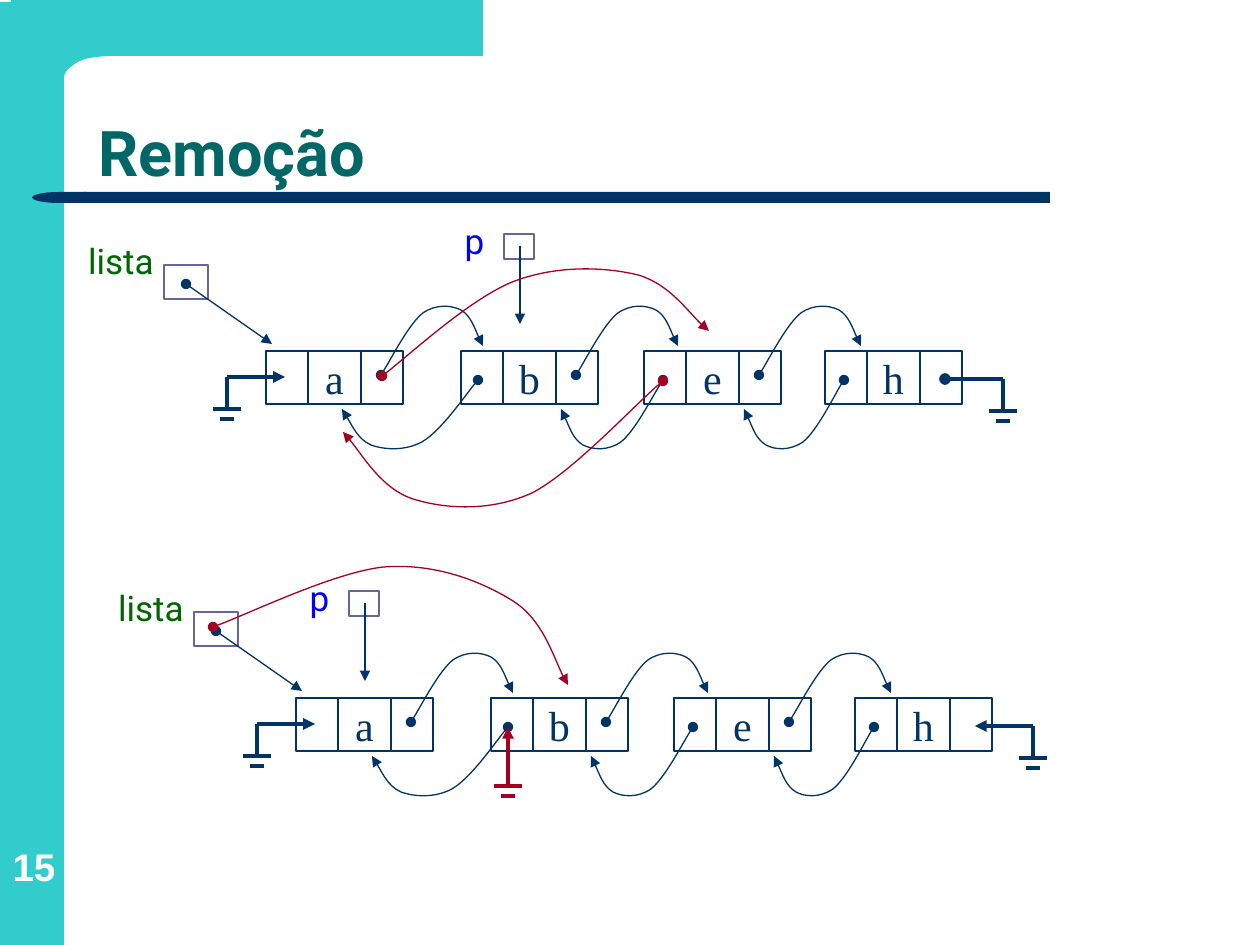
from lxml.etree import SubElement
from pptx import Presentation
from pptx.dml.color import RGBColor as RGB
from pptx.enum.shapes import MSO_CONNECTOR as LINK, MSO_SHAPE as FORM
from pptx.enum.text import MSO_ANCHOR as ANCHOR, PP_ALIGN as ALIGN
from pptx.oxml.ns import qn
from pptx.util import Inches, Pt

PX = Inches(1) / 126
TEAL = RGB(0x33, 0xCC, 0xCC)
NAVY = RGB(0x00, 0x33, 0x66)
GREEN = RGB(0x00, 0x66, 0x00)
PINE = RGB(0x00, 0x66, 0x66)
BLUE = RGB(0x00, 0x00, 0xFF)
SLATE = RGB(0x66, 0x66, 0x99)
RED = RGB(0xA5, 0x00, 0x21)
WHITE = RGB(0xFF, 0xFF, 0xFF)

LETTERS = "abeh"
NODES = [0, 195, 378, 559]
PARTS = [(0, 42), (42, 53), (95, 42)]
HIGH = 53
ARCH = [(0, 0), (7, 10), (28, 51), (42, 62), (55, 71), (70, 70),
        (80, 65), (90, 59), (98, 36), (102, 29)]
SKIP = [(116, 25), (138, 9), (206, -54), (249, -70), (292, -86),
        (339, -84), (372, -76), (403, -67), (428, -31), (443, -20)]
BACK = [(397, 30), (374, 48), (307, 121), (266, 142), (224, 161),
        (179, 158), (147, 148), (116, 138), (91, 95), (77, 81)]
FIRST = [(-83, -71), (-54, -81), (39, -126), (88, -131), (139, -135),
         (185, -117), (217, -97), (247, -78), (261, -30), (272, -13)]


def px(*vals):
    return [round(v * PX) for v in vals]


def write(frame, text, size=20, font="Roboto", color=NAVY, bold=False,
          align=ALIGN.CENTER, anchor=ANCHOR.MIDDLE, wrap=False, inset=None):
    frame.word_wrap = wrap
    frame.vertical_anchor = anchor
    if inset is not None:
        frame.margin_left = frame.margin_right = inset
        frame.margin_top = frame.margin_bottom = inset
    par = frame.paragraphs[0]
    par.alignment = align
    run = par.add_run()
    run.text = text
    run.font.size, run.font.name, run.font.bold = Pt(size), font, bold
    run.font.color.rgb = color
    return par


def label(slide, box, text, **style):
    return write(slide.shapes.add_textbox(*px(*box)).text_frame, text, **style)


def paint(shape, fill=None, line=None):
    shape.shadow.inherit = False
    if fill is None:
        shape.fill.background()
    else:
        shape.fill.solid()
        shape.fill.fore_color.rgb = fill
    if line is None:
        shape.line.fill.background()
    else:
        shape.line.color.rgb = line
        shape.line.width = Pt(0.75)
    return shape


def block(slide, box, form=FORM.RECTANGLE, **look):
    return paint(slide.shapes.add_shape(form, *px(*box)), **look)


def tips(shape, head=None, tail=None):
    ln = shape.line._get_or_add_ln()
    for tag, kind in (("a:headEnd", head), ("a:tailEnd", tail)):
        if kind:
            SubElement(ln, qn(tag), type=kind)


def line(slide, x1, y1, x2, y2, color=NAVY, width=0.75, **ends):
    link = slide.shapes.add_connector(LINK.STRAIGHT, *px(x1, y1, x2, y2))
    link.line.color.rgb = color
    link.line.width = Pt(width)
    tips(link, **ends)
    SubElement(link._element.spPr, qn("a:effectLst"))


def trace(slide, start, steps, close=False, **look):
    """Draw an outline; a step of one point is straight, of three a Bézier."""
    pen = slide.shapes.build_freeform(*start, scale=PX)
    pen.add_line_segments([pt for step in steps for pt in step], close=close)
    shape = pen.convert_to_shape()
    segs = iter(list(shape._element.iter(qn("a:lnTo"))))
    for step in steps:
        seg = next(segs)
        if len(step) == 3:
            seg.tag = qn("a:cubicBezTo")
            for _ in range(2):
                extra = next(segs)
                seg.append(extra[0])
                extra.getparent().remove(extra)
    return paint(shape, **look)


def bend(slide, pts, x, y, color=NAVY):
    """Draw a curved arrow through Bézier points offset by x, y."""
    pts = [(round(x + a), round(y + b)) for a, b in pts]
    steps = [pts[i:i + 3] for i in range(1, len(pts), 3)]
    tips(trace(slide, pts[0], steps, line=color), "oval", "triangle")


def arch(slide, x, y, wide, sign):
    """Draw the arrow between neighbours; sign -1 rises, 1 hangs."""
    bend(slide, [(a * wide / 102, b * sign) for a, b in ARCH], x, y)


def ground(slide, x, y, color=NAVY):
    for half, drop in ((14, 0), (7, 10)):
        line(slide, x - half, y + drop, x + half, y + drop, color, 2.25)


def earth(slide, x, y, tip, head):
    """Link a node's outer field to a ground sign."""
    line(slide, tip, y, x, y, width=2.25, head=head)
    line(slide, x, y, x, y + 32, width=2.25)
    ground(slide, x, y + 32)


def node(slide, x, y, letter):
    for dx, wide in PARTS:
        cell = block(slide, (x + dx, y, wide, HIGH), line=NAVY)
        if dx == PARTS[1][0]:
            write(cell.text_frame, letter, size=24, font="Times New Roman")


def pointer(slide, x, y):
    block(slide, (x, y, 30, 25), line=SLATE)
    label(slide, (x - 56, y - 20, 53, 53), "p", color=BLUE)
    line(slide, x + 16, y + 12, x + 16, y + 90, tail="triangle")


def chain(slide, x, y, end):
    """Draw a doubly linked list whose first node starts at x, y."""
    label(slide, (x - 196, y - 117, 102, 53), "lista", color=GREEN)
    block(slide, (x - 102, y - 86, 44, 34), line=SLATE)
    line(slide, x - 80, y - 67, x + 6, y - 7, head="oval", tail="triangle")
    for dx, letter in zip(NODES, LETTERS):
        node(slide, x + dx, y, letter)
    for left, right in zip(NODES, NODES[1:]):
        arch(slide, x + left + 115, y + 24, 102, -1)
        begin, stop = right + (17 if left == 0 else 19), left + 100
        if left == 0:
            stop = 76
        arch(slide, x + begin, y + 29, stop - begin, 1)
    earth(slide, x - 39, y + 26, x + 19, "triangle")
    earth(slide, x + 737, y + 28, x + 679, end)


def middle(slide, x, y):
    chain(slide, x, y, "oval")
    pointer(slide, x + 238, y - 117)
    for pts in (SKIP, BACK):
        bend(slide, pts, x, y, RED)


def front(slide, x, y):
    chain(slide, x, y, "triangle")
    pointer(slide, x + 53, y - 107)
    bend(slide, FIRST, x, y, RED)
    line(slide, x + 212, y + 29, x + 212, y + 88, RED, 2.25, head="triangle")
    ground(slide, x + 212, y + 88, RED)


def frame(slide, wide, high):
    block(slide, (0, 2, 64, high - 2), fill=TEAL)
    trace(slide, (483, 0), [
        [(483, 56)], [(108, 56)],
        [(91, 57), (83, 59), (78, 62)],
        [(74, 64), (71, 67), (68, 69)],
        [(66, 72), (64, 74), (64, 78)],
        [(64, 86)], [(11, 86)], [(11, 0)]], close=True, fill=TEAL)
    block(slide, (84, 192, 966, 11), fill=NAVY)
    block(slide, (32, 192, 54, 11), FORM.FLOWCHART_DELAY, fill=NAVY).rotation = 180
    label(slide, (3, 821, 62, 68), "15", size=22, font="Arial", color=WHITE,
          bold=True, anchor=ANCHOR.BOTTOM, wrap=True, inset=0)
    title = slide.shapes.title
    title.left, title.top, title.width, title.height = px(86, 59, wide - 125, 137)
    par = write(title.text_frame, "Remoção", size=36, color=PINE, bold=True,
                align=ALIGN.LEFT, anchor=ANCHOR.BOTTOM, wrap=True)
    par.line_spacing = 0.9


def main():
    deck = Presentation()
    wide, high = 1260, 945
    deck.slide_width, deck.slide_height = px(wide, high)
    slide = deck.slides.add_slide(deck.slide_layouts[5])
    frame(slide, wide, high)
    middle(slide, 266, 351)
    front(slide, 296, 698)
    deck.save("out.pptx")


if __name__ == "__main__":
    main()
